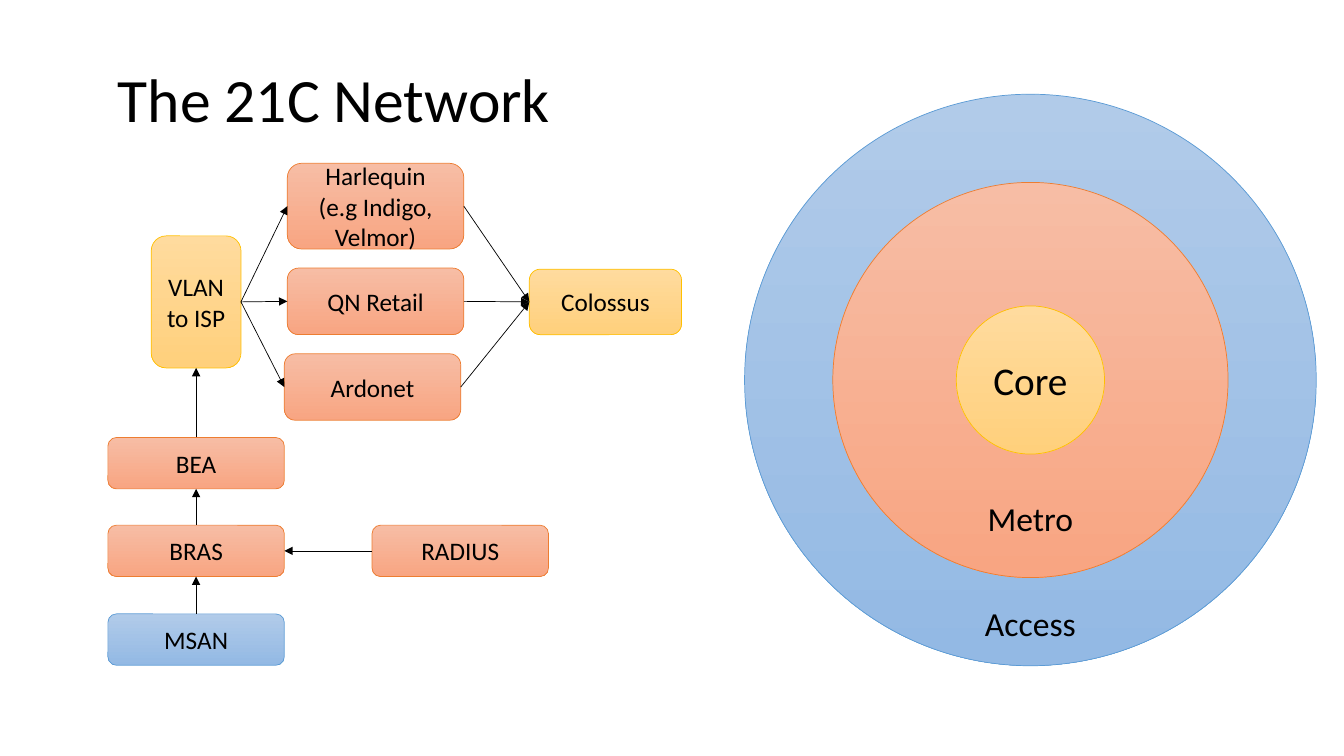
from lxml.etree import SubElement
from pptx import Presentation
from pptx.dml.color import RGBColor
from pptx.enum.shapes import MSO_CONNECTOR, MSO_SHAPE
from pptx.enum.text import MSO_ANCHOR, PP_ALIGN
from pptx.oxml.ns import qn
from pptx.util import Inches, Pt

COLORS = {
    "ink": "000000",
    "access": ("B1CBE9", "93B9E4", "5B9BD5"),
    "metro": ("F7BDA5", "F8A582", "ED7D31"),
    "core": ("FFDB9E", "FFD07C", "FFC000"),
}
TOP, LEFT, BOTTOM, RIGHT = range(4)


class Canvas:
    font = "Calibri"
    line = Pt(0.5)

    def __init__(self, slide):
        self.slide = slide

    def put(self, shape, text, size, align=PP_ALIGN.CENTER):
        """Fill a shape with text, one paragraph per line."""
        frame = shape.text_frame
        frame.word_wrap = True
        frame.vertical_anchor = MSO_ANCHOR.MIDDLE
        for i, part in enumerate(text.split("\n")):
            para = frame.add_paragraph() if i else frame.paragraphs[0]
            para.alignment = align
            run = para.add_run()
            run.text = part
            run.font.name = self.font
            run.font.size = Pt(size)
            run.font.color.rgb = RGBColor.from_string(COLORS["ink"])

    def label(self, text, x, y, w, h, size, align=PP_ALIGN.CENTER):
        box = self.slide.shapes.add_textbox(
            Inches(x), Inches(y), Inches(w), Inches(h))
        self.put(box, text, size, align)

    def shape(self, kind, zone, x, y, w, h, text="", size=18):
        """Draw a shape in the gradient of its network zone."""
        item = self.slide.shapes.add_shape(
            kind, Inches(x), Inches(y), Inches(w), Inches(h))
        item.shadow.inherit = False
        first, last, edge = COLORS[zone]
        item.fill.gradient()
        item.fill.gradient_angle = 270
        for stop, color in zip(item.fill.gradient_stops, (first, last)):
            stop.color.rgb = RGBColor.from_string(color)
        item.line.color.rgb = RGBColor.from_string(edge)
        item.line.width = self.line
        if text:
            self.put(item, text, size)
        return item

    def node(self, text, zone, x, y, w=1.75, h=0.51):
        return self.shape(MSO_SHAPE.ROUNDED_RECTANGLE, zone, x, y, w, h, text)

    def ring(self, zone, size, text="", points=28):
        """Draw a circle around the shared centre."""
        mid_x, mid_y = 10.22, 3.77
        self.shape(MSO_SHAPE.OVAL, zone, mid_x - size / 2, mid_y - size / 2,
                   size, size, text, points)

    def arrow(self, start, out, end, into):
        link = self.slide.shapes.add_connector(
            MSO_CONNECTOR.STRAIGHT, 0, 0, 0, 0)
        link.begin_connect(start, out)
        link.end_connect(end, into)
        link.line.color.rgb = RGBColor.from_string(COLORS["ink"])
        link.line.width = self.line
        props = link._element.spPr
        SubElement(props.find(qn("a:ln")), qn("a:tailEnd"), type="triangle")
        SubElement(props, qn("a:effectLst"))


def main():
    deck = Presentation()
    deck.slide_width, deck.slide_height = Inches(13.33), Inches(7.5)
    art = Canvas(deck.slides.add_slide(deck.slide_layouts[6]))

    art.label("The 21C Network", 1.07, 0.43, 5.22, 1.09, 44, PP_ALIGN.LEFT)

    art.ring("access", 5.67)
    art.ring("metro", 3.92)
    art.ring("core", 1.47, "Core")
    art.label("Metro", 9.22, 4.89, 2, 0.5, 24)
    art.label("Access", 9.22, 5.93, 2, 0.5, 24)

    msan = art.node("MSAN", "access", 1.07, 6.09)
    bras = art.node("BRAS", "metro", 1.07, 5.21)
    bea = art.node("BEA", "metro", 1.07, 4.34)
    vlan = art.node("VLAN to ISP", "core", 1.5, 2.34, 0.89, 1.31)
    radius = art.node("RADIUS", "metro", 3.69, 5.21)
    isps = [
        art.node("Harlequin\n(e.g Indigo, Velmor)", "metro", 2.85, 1.62, h=0.85),
        art.node("QN Retail", "metro", 2.85, 2.66, h=0.66),
        art.node("Ardonet", "metro", 2.82, 3.51, h=0.66),
    ]
    hub = art.node("Colossus", "core", 5.25, 2.67, 1.51, 0.65)

    chain = [msan, bras, bea, vlan]
    for low, high in zip(chain, chain[1:]):
        art.arrow(low, TOP, high, BOTTOM)
    art.arrow(radius, LEFT, bras, RIGHT)
    for isp in isps:
        art.arrow(vlan, RIGHT, isp, LEFT)
        art.arrow(isp, RIGHT, hub, LEFT)

    deck.save("out.pptx")


if __name__ == "__main__":
    main()
